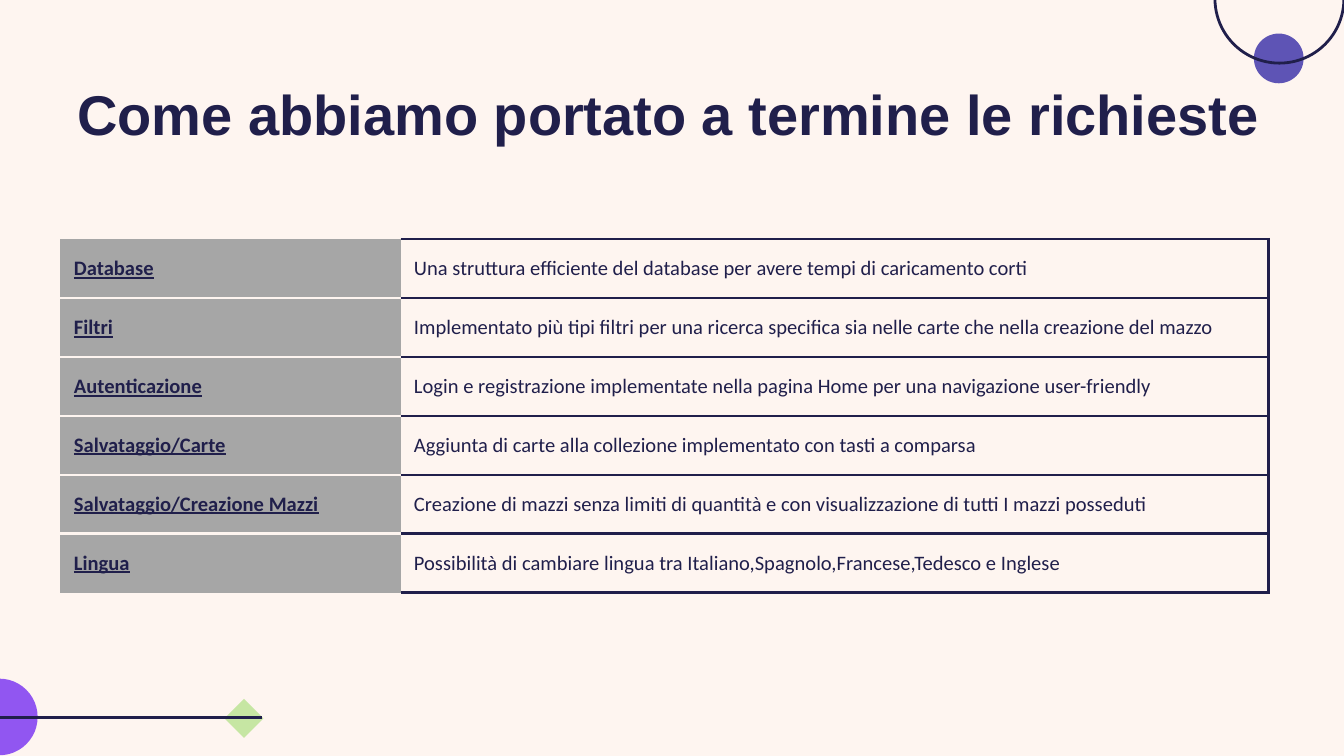
import pptx
import pptx.util
from lxml import etree
from pptx.dml.color import RGBColor
from pptx.enum.shapes import MSO_CONNECTOR, MSO_SHAPE
from pptx.enum.text import MSO_ANCHOR, MSO_AUTO_SIZE, PP_ALIGN
from pptx.oxml.ns import qn
from pptx.util import Inches, Pt

TITLE = "Come abbiamo portato a termine le richieste"
ROWS = [
    ("Database", "Una struttura efficiente del database per avere tempi di caricamento corti"),
    ("Filtri", "Implementato più tipi filtri per una ricerca specifica sia nelle carte che nella creazione del mazzo"),
    ("Autenticazione", "Login e registrazione implementate nella pagina Home per una navigazione user-friendly"),
    ("Salvataggio/Carte", "Aggiunta di carte alla collezione implementato con tasti a comparsa"),
    ("Salvataggio/Creazione Mazzi", "Creazione di mazzi senza limiti di quantità e con visualizzazione di tutti I mazzi posseduti"),
    ("Lingua", "Possibilità di cambiare lingua tra Italiano,Spagnolo,Francese,Tedesco e Inglese"),
]
INK, CREAM, GREY = "201F4B", "FEF5F0", "A6A6A6"
LINE_PT = 1.5
COL_WIDTHS = (2.53, 6.46)
ROW_HEIGHT = 2.63 / len(ROWS)

# preset, left, top, size, fill
CORNER_LEFT = [
    (MSO_SHAPE.OVAL, -0.29, 5.05, 0.57, "9156F1"),
    (MSO_SHAPE.DIAMOND, 1.67, 5.2, 0.29, "C6E6A3"),
]
CORNER_RIGHT = [
    (MSO_SHAPE.OVAL, 9.33, 0.25, 0.37, "5E54B5"),
    (MSO_SHAPE.OVAL, 9.04, -0.49, 0.96, None),
]


def rgb(color):
    return RGBColor.from_string(color)


def set_font(p, color=INK, **formats):
    p.font.color.rgb = rgb(color)
    for name, value in formats.items():
        setattr(p.font, name, value)


def add_ornament(s, preset, left, top, size, fill):
    """Add a filled ornament, or an outlined ring when fill is None."""
    sp = s.shapes.add_shape(preset, *map(Inches, (left, top, size, size)))
    sp.shadow.inherit = False
    if fill:
        sp.fill.solid()
        sp.fill.fore_color.rgb = rgb(fill)
        sp.line.fill.background()
    else:
        sp.fill.background()
        sp.line.color.rgb = rgb(INK)
        sp.line.width = Pt(LINE_PT)


def set_borders(cell, **colors):
    """Draw the sides named L, R, T, B; a side left out gets no line."""
    tc_pr = cell._tc.get_or_add_tcPr()
    for i, side in enumerate("LRTB"):
        ln = etree.Element(qn(f"a:ln{side}"), w=str(Pt(LINE_PT)))
        color = colors.get(side)
        if color:
            fill = etree.SubElement(ln, qn("a:solidFill"))
            etree.SubElement(fill, qn("a:srgbClr"), val=color)
        else:
            etree.SubElement(ln, qn("a:noFill"))
        tc_pr.insert(i, ln)


def add_title(s):
    sp = s.shapes.title
    sp.left, sp.top, sp.width, sp.height = map(Inches, (0.15, 0.49, 9.65, 0.63))
    tf = sp.text_frame
    tf.text = TITLE
    tf.auto_size = MSO_AUTO_SIZE.NONE
    tf.vertical_anchor = MSO_ANCHOR.TOP
    for side in ("left", "top", "right", "bottom"):
        setattr(tf, f"margin_{side}", Inches(0.1))
    p = tf.paragraphs[0]
    p.alignment, p.line_spacing = PP_ALIGN.CENTER, 1.0
    set_font(p, name="Arial", size=Pt(30), bold=True)


def add_requests_table(s):
    table = s.shapes.add_table(
        len(ROWS), 2, Inches(0.45), Inches(1.78),
        Inches(sum(COL_WIDTHS)), Inches(ROW_HEIGHT * len(ROWS))).table
    table.first_row = table.horz_banding = False
    for column, width in zip(table.columns, COL_WIDTHS):
        column.width = Inches(width)
    last = len(ROWS) - 1
    for i, texts in enumerate(ROWS):
        table.rows[i].height = Inches(ROW_HEIGHT)
        for j, text in enumerate(texts):
            is_label = j == 0
            cell = table.cell(i, j)
            cell.text = text
            cell.vertical_anchor = MSO_ANCHOR.MIDDLE
            cell.margin_left = cell.margin_right = Inches(0.1)
            cell.margin_top = cell.margin_bottom = 0
            set_font(cell.text_frame.paragraphs[0], name="Calibri", size=Pt(11),
                     bold=is_label, underline=is_label)
            if is_label:
                cell.fill.solid()
                cell.fill.fore_color.rgb = rgb(GREY)
                set_borders(cell, T=CREAM if i > 0 else None,
                            B=CREAM if i < last else None)
            else:
                cell.fill.background()
                set_borders(cell, R=INK, T=INK, B=INK)


def main():
    prs = pptx.Presentation()
    prs.slide_width = Inches(10)
    prs.slide_height = prs.slide_width * 9 // 16
    s = prs.slides.add_slide(prs.slide_layouts[5])
    s.background.fill.solid()
    s.background.fill.fore_color.rgb = rgb(CREAM)

    for ornament in CORNER_LEFT + CORNER_RIGHT:
        add_ornament(s, *ornament)
    line = s.shapes.add_connector(
        MSO_CONNECTOR.STRAIGHT, *map(Inches, (1.95, 5.34, -0.29, 5.34)))
    line.line.color.rgb = rgb(INK)
    line.line.width = Pt(LINE_PT)
    etree.SubElement(line._element.spPr, qn("a:effectLst"))

    add_title(s)
    add_requests_table(s)
    prs.save("out.pptx")


if __name__ == "__main__":
    main()
